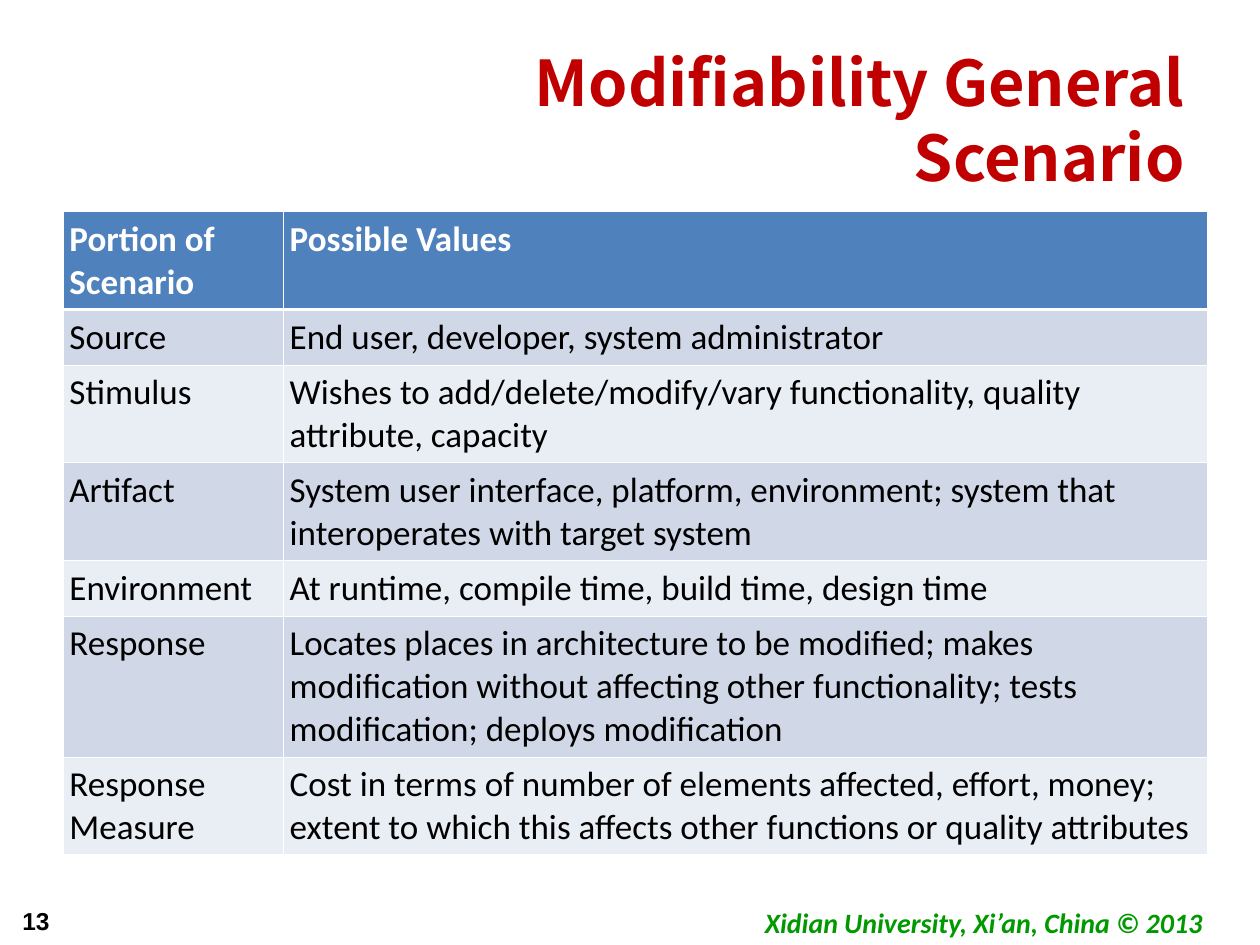
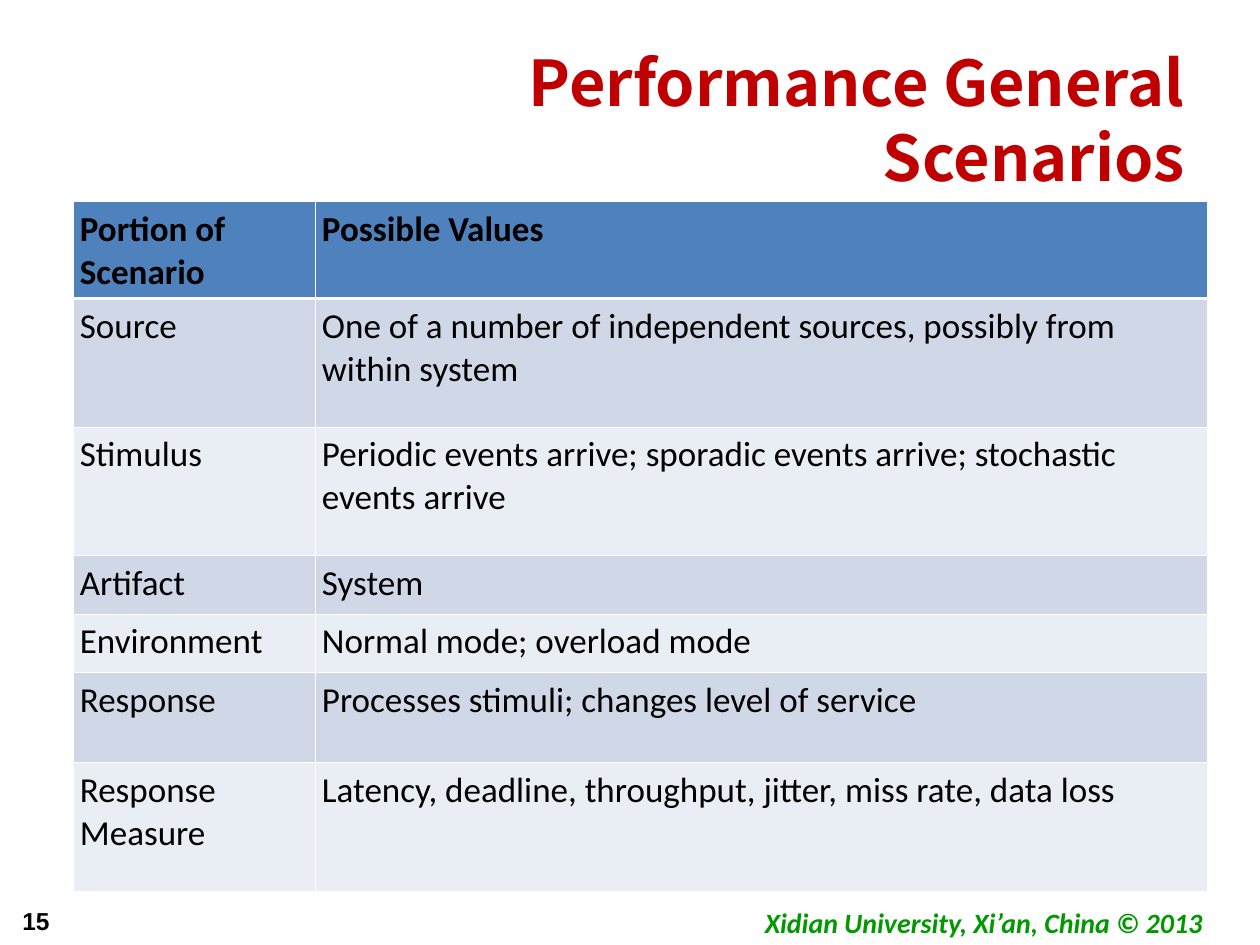
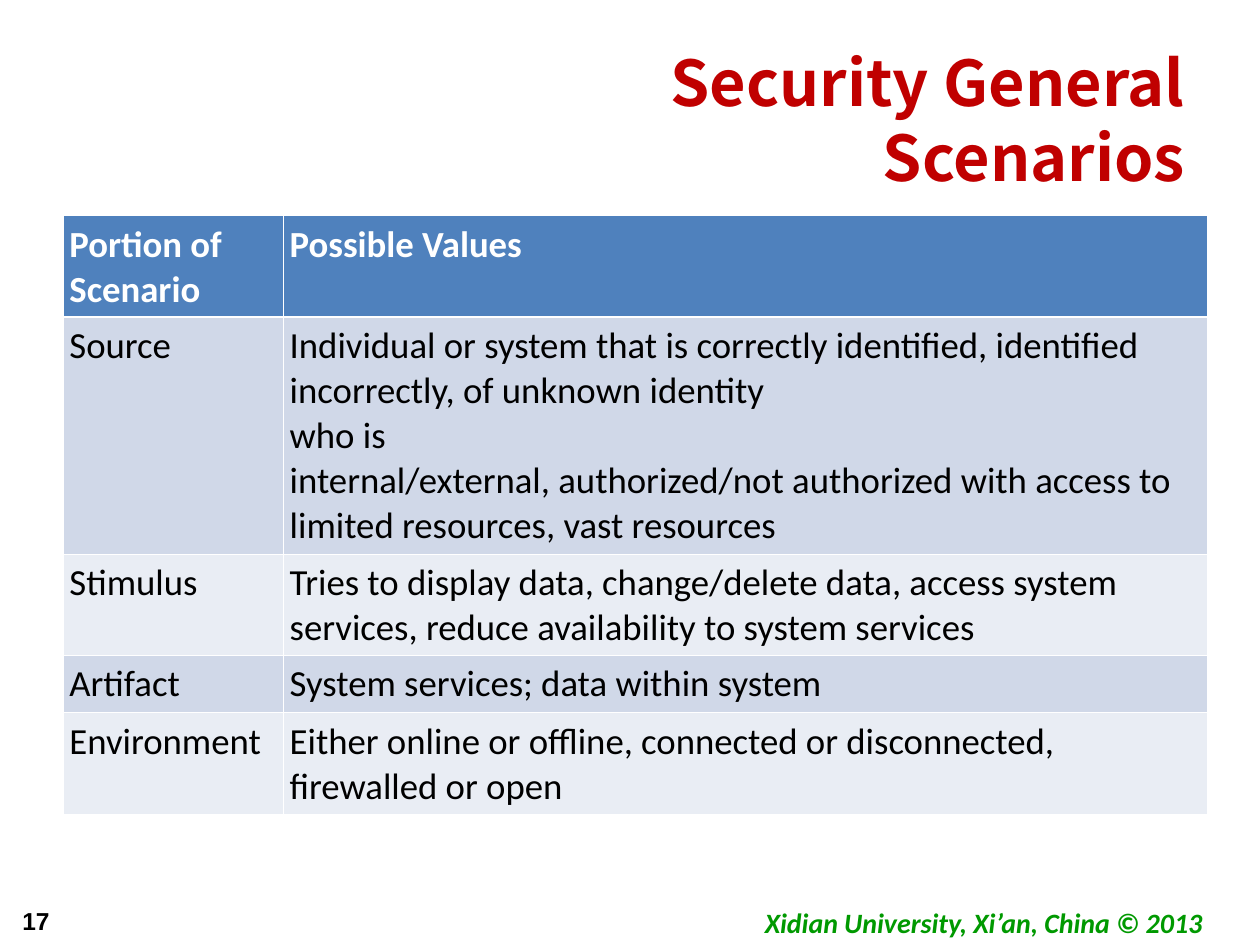
from lxml import etree
from pptx import Presentation
from pptx import util as u
from pptx.dml import color
from pptx.enum import text
from pptx.oxml import ns

RED, GREEN, BLACK, WHITE = "C00000", "009900", "000000", "FFFFFF"
HEADER, BANDS = "4F81BD", ("D0D8E8", "E9EDF4")
THIN, THICK = 0.45, 1.47
FOOTER = "Xidian University, Xi’an, China © 2013"
COLUMNS = ("Portion of Scenario", "Possible Values")


def rgb(value):
    return color.RGBColor.from_string(value)


def write(frame, content, size=20, font="Calibri", tint=BLACK, bold=False,
          italic=False, align=text.PP_ALIGN.LEFT, spacing=None, wrap=True):
    frame.word_wrap = wrap
    frame.text = content
    for paragraph in frame.paragraphs:
        paragraph.alignment = align
        paragraph.line_spacing = spacing
        for run in paragraph.runs:
            run.font.size = u.Pt(size)
            run.font.name = font
            run.font.bold = bold
            run.font.italic = italic
            run.font.color.rgb = rgb(tint)


scenarios = [
    {
        "number": "13", "title": "Modifiability General Scenario",
        "left": 1.27, "top": 4.27, "widths": (4.44, 18.62),
        "size": 20, "heading": WHITE,
        "heights": (1.97, 1.12, 1.97, 1.97, 1.12, 2.84, 1.97),
        "portions": [
            ("Source", "End user, developer, system administrator"),
            ("Stimulus", "Wishes to add/delete/modify/vary functionality, quality attribute, capacity"),
            ("Artifact", "System user interface, platform, environment; system that "
                         "interoperates with target system"),
            ("Environment", "At runtime, compile time, build time, design time"),
            ("Response", "Locates places in architecture to be modified; makes modification without "
                         "affecting other functionality; tests modification; deploys modification"),
            ("Response Measure", "Cost in terms of number of elements affected, effort, money; extent to "
                                 "which this affects other functions or quality attributes"),
        ],
    },
    {
        "number": "15", "title": "Performance General Scenarios",
        "left": 1.48, "top": 4.06, "widths": (4.88, 17.98),
        "size": 20, "heading": BLACK,
        "heights": (1.95, 2.59, 2.59, 1.18, 1.18, 1.82, 2.59),
        "portions": [
            ("Source", "One of a number of independent sources, possibly from within system"),
            ("Stimulus", "Periodic events arrive; sporadic events arrive; stochastic events arrive"),
            ("Artifact", "System"),
            ("Environment", "Normal mode; overload mode"),
            ("Response", "Processes stimuli; changes level of service"),
            ("Response Measure", "Latency, deadline, throughput, jitter, miss rate, data loss"),
        ],
    },
    {
        "number": "17", "title": "Security General Scenarios",
        "left": 1.27, "top": 4.35, "widths": (4.44, 18.62),
        "size": 21, "heading": WHITE,
        "heights": (2.04, 4.78, 2.04, 1.16, 2.04),
        "portions": [
            ("Source", "Individual or system that is correctly identified, identified incorrectly, "
                       "of unknown identity\nwho is\ninternal/external, authorized/not authorized "
                       "with access to limited resources, vast resources"),
            ("Stimulus", "Tries to display data, change/delete data, access system services, "
                         "reduce availability to system services"),
            ("Artifact", "System services; data within system"),
            ("Environment", "Either online or offline, connected or disconnected, firewalled or open"),
        ],
    },
]

deck = Presentation()
deck.slide_width, deck.slide_height = u.Cm(25.4), u.Cm(19.05)

for scenario in scenarios:
    slide = deck.slides.add_slide(deck.slide_layouts[6])

    footer = slide.shapes.add_textbox(u.Cm(14.68), u.Cm(18.06), u.Cm(10.31), u.Cm(0.99)).text_frame
    footer.vertical_anchor = text.MSO_ANCHOR.MIDDLE
    write(footer, FOOTER, size=16, tint=GREEN, bold=True, italic=True,
          align=text.PP_ALIGN.CENTER, spacing=1.1, wrap=False)

    number = slide.shapes.add_textbox(u.Cm(0.2), u.Cm(18.14), u.Cm(1.5), u.Cm(0.86)).text_frame
    write(number, scenario["number"], size=14, font="Arial", bold=True)

    title = slide.shapes.add_textbox(u.Cm(9.7), u.Cm(0.76), u.Cm(14.43), u.Cm(3.18)).text_frame
    write(title, scenario["title"], size=36, font="Noto Sans CJK SC", tint=RED, bold=True,
          align=text.PP_ALIGN.RIGHT, spacing=u.Pt(43))

    rows = [COLUMNS] + scenario["portions"]
    widths, heights = scenario["widths"], scenario["heights"]
    grid = slide.shapes.add_table(len(rows), len(COLUMNS), u.Cm(scenario["left"]), u.Cm(scenario["top"]),
                                  u.Cm(sum(widths)), u.Cm(sum(heights))).table
    grid.horz_banding = False
    for column, width in zip(grid.columns, widths):
        column.width = u.Cm(width)

    for r, values in enumerate(rows):
        grid.rows[r].height = u.Cm(heights[r])
        is_header = r == 0
        for c, value in enumerate(values):
            cell = grid.cell(r, c)
            cell.margin_left = cell.margin_right = u.Cm(0.13)
            cell.margin_top = cell.margin_bottom = u.Cm(0.13)
            cell.fill.solid()
            cell.fill.fore_color.rgb = rgb(HEADER if is_header else BANDS[(r - 1) % 2])
            write(cell.text_frame, value, size=scenario["size"], bold=is_header,
                  tint=scenario["heading"] if is_header else BLACK)

            edges = {"lnL": THIN, "lnR": THIN, "lnT": THICK if r == 1 else THIN,
                     "lnB": THICK if is_header else THIN}
            properties = cell._tc.get_or_add_tcPr()
            for position, (edge, points) in enumerate(edges.items()):
                border = etree.Element(ns.qn("a:" + edge), w=str(u.Pt(points)))
                paint = etree.SubElement(border, ns.qn("a:solidFill"))
                etree.SubElement(paint, ns.qn("a:srgbClr"), val=WHITE)
                properties.insert(position, border)

deck.save("out.pptx")
